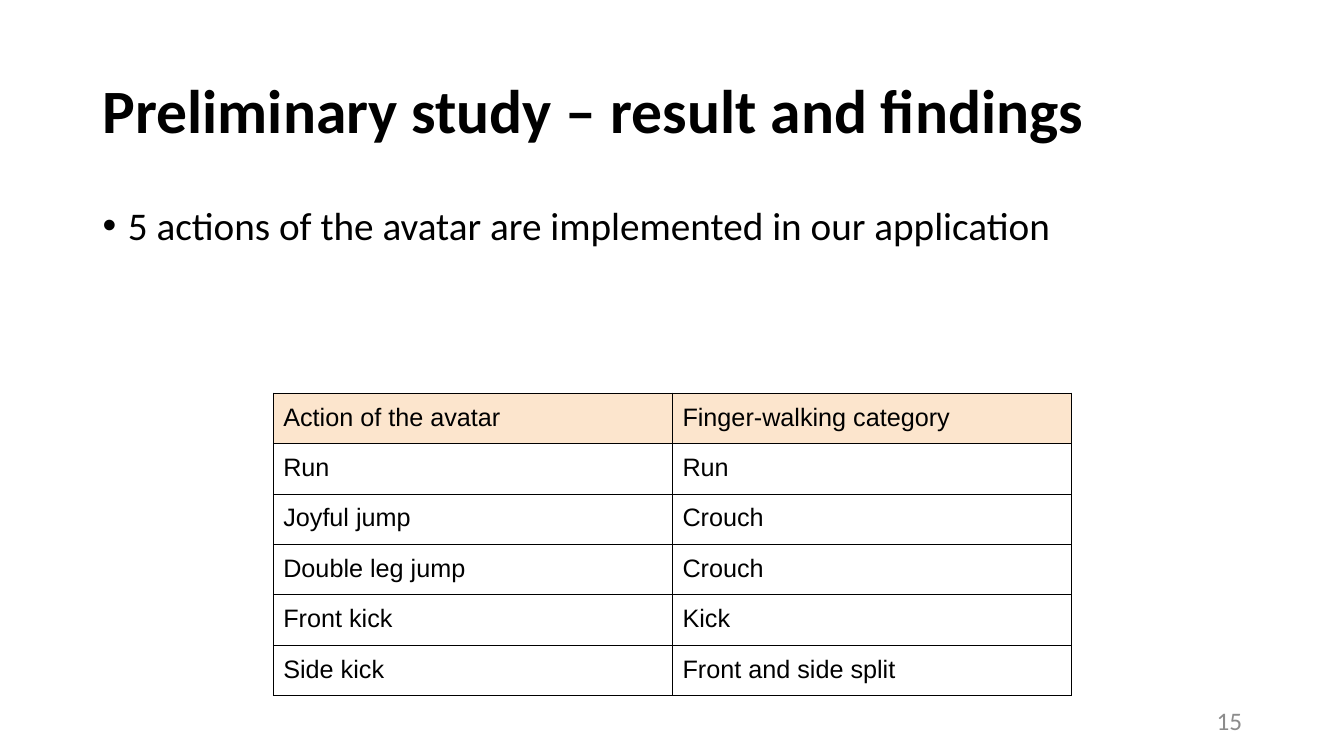
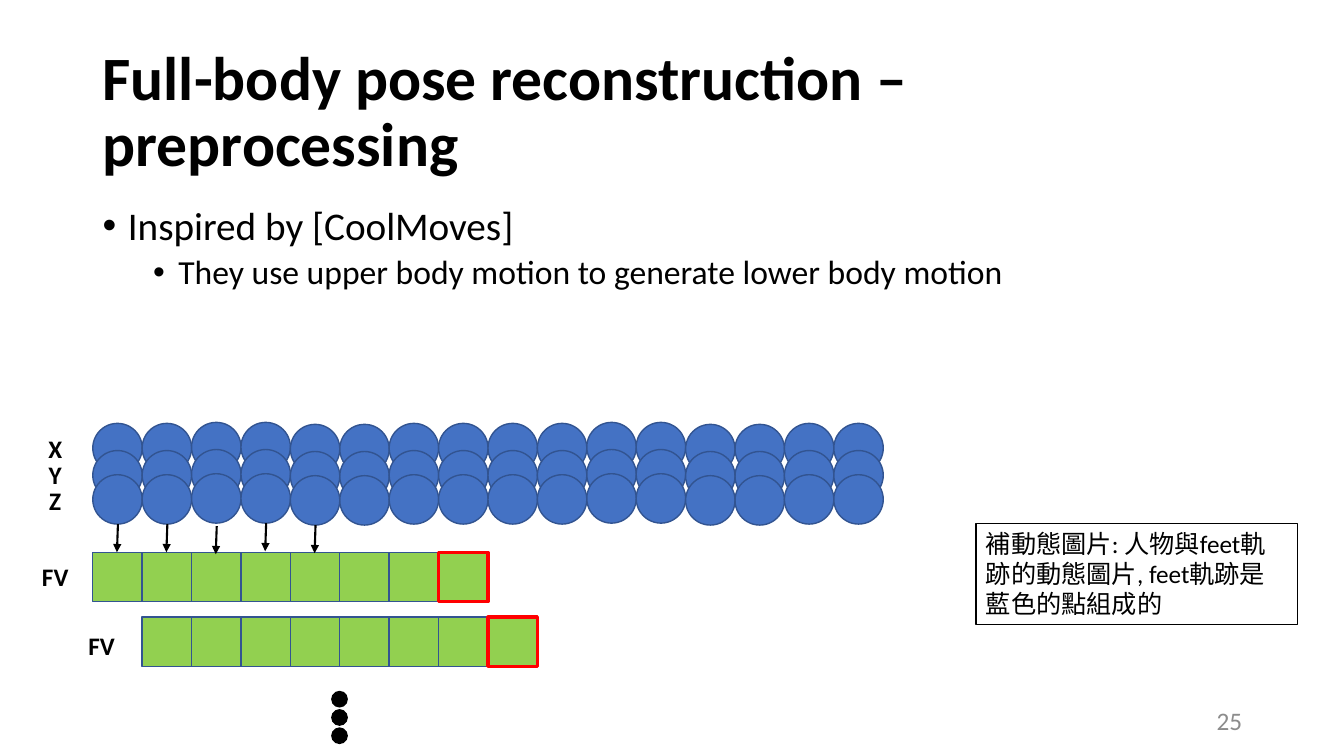
"""Build two study slides: a table of avatar actions and a feature vector diagram."""
from dataclasses import dataclass
from typing import NamedTuple

from lxml.etree import SubElement
from pptx import Presentation
from pptx.dml.color import RGBColor as RGB
from pptx.enum.shapes import MSO_CONNECTOR as LINE, MSO_SHAPE as SHAPE
from pptx.enum.text import MSO_ANCHOR as ANCHOR, MSO_AUTO_SIZE as AUTO, PP_ALIGN as ALIGN
from pptx.oxml import parse_xml
from pptx.oxml.ns import nsdecls, qn
from pptx.shapes.autoshape import Shape
from pptx.shapes.shapetree import GroupShapes
from pptx.slide import Slide
from pptx.text.text import TextFrame
from pptx.util import Inches, Pt

W, H = Inches(13.33), Inches(7.5)


@dataclass(frozen=True)
class Theme:
    font: str = "Calibri"
    table_font: str = "Arial"
    ink: str = "000000"
    muted: str = "8C8C8C"
    header: str = "FCE5CD"
    point: str = "4472C4"
    vector: str = "92D050"
    outline: str = "325491"
    accent: str = "FF0000"
    title: int = 44
    levels: tuple[int, ...] = (28, 24)
    small: int = 18


T = Theme()


class Box(NamedTuple):
    left: int
    top: int
    width: int
    height: int


def share(left: float, top: float, width: float, height: float) -> Box:
    """Turn percentages of the slide into a box."""
    return Box(int(W * left / 100), int(H * top / 100), int(W * width / 100), int(H * height / 100))


TITLE = share(6.9, 5.33, 86.27, 19.33)
BODY = share(6.9, 26.67, 86.27, 63.47)
NUMBER = share(70.67, 92.67, 22.5, 5.33)
TABLE = share(20.33, 52, 59.41, 39.2)
NOTE = share(72.62, 69.2, 23.93, 13.47)


@dataclass(frozen=True)
class Grid:
    left: int = Inches(0.92)
    top: int = Inches(4.2)
    cell: int = Inches(0.49)

    def x(self, col: float) -> int:
        """Give the horizontal place of a column."""
        return int(self.left + col * self.cell)

    def y(self, row: float) -> int:
        """Give the vertical place of a row."""
        return int(self.top + row * self.cell)

    def box(self, col: float, row: float, cols: float = 1, rows: float = 1) -> Box:
        """Give the box that spans the cells."""
        return Box(self.x(col), self.y(row), int(cols * self.cell), int(rows * self.cell))


GRID = Grid()


class Bullet(NamedTuple):
    text: str
    level: int = 0


class Strip(NamedTuple):
    label: str
    label_col: float
    label_row: float
    col: int
    row: float


POINTS = (Strip("X", -1.33, 0.1, 0, 0), Strip("Y", -1.33, 0.63, 0, 0.55), Strip("Z", -1.33, 1.14, 0, 1.04))
VECTORS = (Strip("FV", -1.33, 2.69, 0, 2.61), Strip("FV", -0.39, 4.08, 1, 3.92))
WAVE = (0, 0, -0.02, -0.02, 0.02, 0.02, 0, 0) * 2
ARROW_SHIFTS = (0, 0, 0.04, -0.02, 0.02)
VECTOR_CELLS = 8
ACTIONS = (
    ("Action of the avatar", "Finger-walking category"),
    ("Run", "Run"),
    ("Joyful jump", "Crouch"),
    ("Double leg jump", "Crouch"),
    ("Front kick", "Kick"),
    ("Side kick", "Front and side split"),
)


def style(tf: TextFrame, size: float, color: str = T.ink, bold: bool = False,
          align: ALIGN = ALIGN.LEFT, font: str = T.font) -> None:
    """Format every run of a text frame."""
    for p in tf.paragraphs:
        p.alignment = align
        for r in p.runs:
            f = r.font
            f.name, f.size, f.bold = font, Pt(size), bold
            f.color.rgb = RGB.from_string(color)


def add_text(s: Slide, box: Box, text: str, size: float, color: str = T.ink,
             bold: bool = False, align: ALIGN = ALIGN.LEFT) -> TextFrame:
    """Add a wrapped, vertically centred text box."""
    tf = s.shapes.add_textbox(*box).text_frame
    tf.word_wrap, tf.vertical_anchor = True, ANCHOR.MIDDLE
    tf.text = text
    style(tf, size, color, bold, align)
    return tf


def add_bullets(s: Slide, bullets: tuple[Bullet, ...]) -> None:
    """Add the body text with bullets on each level."""
    tf = s.shapes.add_textbox(*BODY).text_frame
    tf.word_wrap = True
    tf.text = "\n".join(b.text for b in bullets)
    style(tf, T.levels[0])
    for p, b in zip(tf.paragraphs, bullets):
        p.level, p.line_spacing, p.space_before = b.level, 0.9, Pt(5 if b.level else 10)
        p.runs[0].font.size = Pt(T.levels[b.level])
        pr = p._p.get_or_add_pPr()
        pr.set("marL", str(Inches(0.25 + 0.5 * b.level)))
        pr.set("indent", str(Inches(-0.25)))
        SubElement(pr, qn("a:buFont"), typeface="Arial")
        SubElement(pr, qn("a:buChar"), char="•")


def add_frame(prs: Presentation, title: str, number: int, *bullets: Bullet) -> Slide:
    """Add a slide with title, bullets and page number."""
    s = prs.slides.add_slide(prs.slide_layouts[6])
    tf = add_text(s, TITLE, title, T.title, bold=True)
    tf.paragraphs[0].line_spacing = 0.9
    add_bullets(s, bullets)
    add_text(s, NUMBER, str(number), T.small, T.muted, align=ALIGN.RIGHT)
    return s


def add_shape(shapes: GroupShapes, kind: SHAPE, box: Box, fill: str | None,
              line: str = T.outline, weight: float = 1) -> Shape:
    """Add a flat shape with an outline."""
    sp = shapes.add_shape(kind, *box)
    sp.shadow.inherit = False
    if fill:
        sp.fill.solid()
        sp.fill.fore_color.rgb = RGB.from_string(fill)
    else:
        sp.fill.background()
    sp.line.color.rgb = RGB.from_string(line)
    sp.line.width = Pt(weight)
    return sp


def add_arrow(s: Slide, col: float, row: float) -> None:
    """Add a short arrow pointing down."""
    c = s.shapes.add_connector(LINE.STRAIGHT, GRID.x(col + 0.51), GRID.y(row),
                               GRID.x(col + 0.49), GRID.y(row + 0.57))
    c.line.color.rgb = RGB.from_string(T.ink)
    c.line.width = Pt(1.5)
    pr = c.element.spPr
    SubElement(pr.find(qn("a:ln")), qn("a:tailEnd"), type="triangle")
    SubElement(pr, qn("a:effectLst"))


def add_table(s: Slide, rows: tuple[tuple[str, ...], ...]) -> None:
    """Add a bordered table with a tinted first row."""
    table = s.shapes.add_table(len(rows), len(rows[0]), *TABLE).table
    table.first_row = table.horz_banding = False
    for i, row in enumerate(rows):
        for j, text in enumerate(row):
            cell = table.cell(i, j)
            cell.margin_left = cell.margin_right = Inches(0.1)
            cell.margin_top = cell.margin_bottom = Inches(0.1)
            cell.text_frame.text = text
            style(cell.text_frame, T.small, font=T.table_font)
            if i:
                cell.fill.background()
            else:
                cell.fill.solid()
                cell.fill.fore_color.rgb = RGB.from_string(T.header)
            pr = cell._tc.get_or_add_tcPr()
            for k, side in enumerate("LRTB"):
                pr.insert(k, parse_xml(
                    f'<a:ln{side} {nsdecls("a")} w="{Pt(0.75)}"><a:solidFill>'
                    f'<a:srgbClr val="{T.ink}"/></a:solidFill></a:ln{side}>'))
    for row in table.rows:
        row.height = TABLE.height // len(rows)


def add_label(s: Slide, strip: Strip) -> None:
    """Add the bold label beside a strip."""
    box = GRID.box(strip.label_col, strip.label_row, 1.14, 0.82)
    add_text(s, box, strip.label, T.small, bold=True, align=ALIGN.CENTER)


def add_diagram(s: Slide) -> None:
    """Draw point rows, feature vectors, arrows and the continuation dots."""
    for strip in POINTS:
        group = s.shapes.add_group_shape().shapes
        for col, shift in enumerate(WAVE):
            add_shape(group, SHAPE.OVAL, GRID.box(strip.col + col, strip.row + shift), T.point)
        add_label(s, strip)
    for strip in VECTORS:
        group = s.shapes.add_group_shape().shapes
        for col in range(VECTOR_CELLS):
            line, weight = (T.accent, 2.25) if col == VECTOR_CELLS - 1 else (T.outline, 1)
            add_shape(group, SHAPE.RECTANGLE, GRID.box(strip.col + col, strip.row), T.vector, line, weight)
        add_label(s, strip)
    for col, shift in enumerate(ARROW_SHIFTS):
        add_arrow(s, col, 2.04 + shift)
    dots = s.shapes.add_group_shape().shapes
    for i in range(3):
        add_shape(dots, SHAPE.OVAL, GRID.box(4.84, 5.43 + 0.37 * i, 0.31, 0.31), T.ink, T.ink)


def add_note(s: Slide, text: str) -> None:
    """Add the outlined remark."""
    sp = add_shape(s.shapes, SHAPE.RECTANGLE, NOTE, None, T.ink, 0.75)
    tf = sp.text_frame
    tf.word_wrap, tf.vertical_anchor, tf.auto_size = True, ANCHOR.TOP, AUTO.SHAPE_TO_FIT_TEXT
    tf.text = text
    style(tf, T.small)


def main() -> None:
    """Build and save the presentation."""
    prs = Presentation()
    prs.slide_width, prs.slide_height = W, H
    s = add_frame(prs, "Preliminary study – result and findings", 15,
                  Bullet("5 actions of the avatar are implemented in our application"))
    add_table(s, ACTIONS)
    s = add_frame(prs, "Full-body pose reconstruction – preprocessing", 25,
                  Bullet("Inspired by [CoolMoves]"),
                  Bullet("They use upper body motion to generate lower body motion", 1))
    add_note(s, "補動態圖片: 人物與feet軌跡的動態圖片, feet軌跡是藍色的點組成的")
    add_diagram(s)
    prs.save("out.pptx")


if __name__ == "__main__":
    main()
